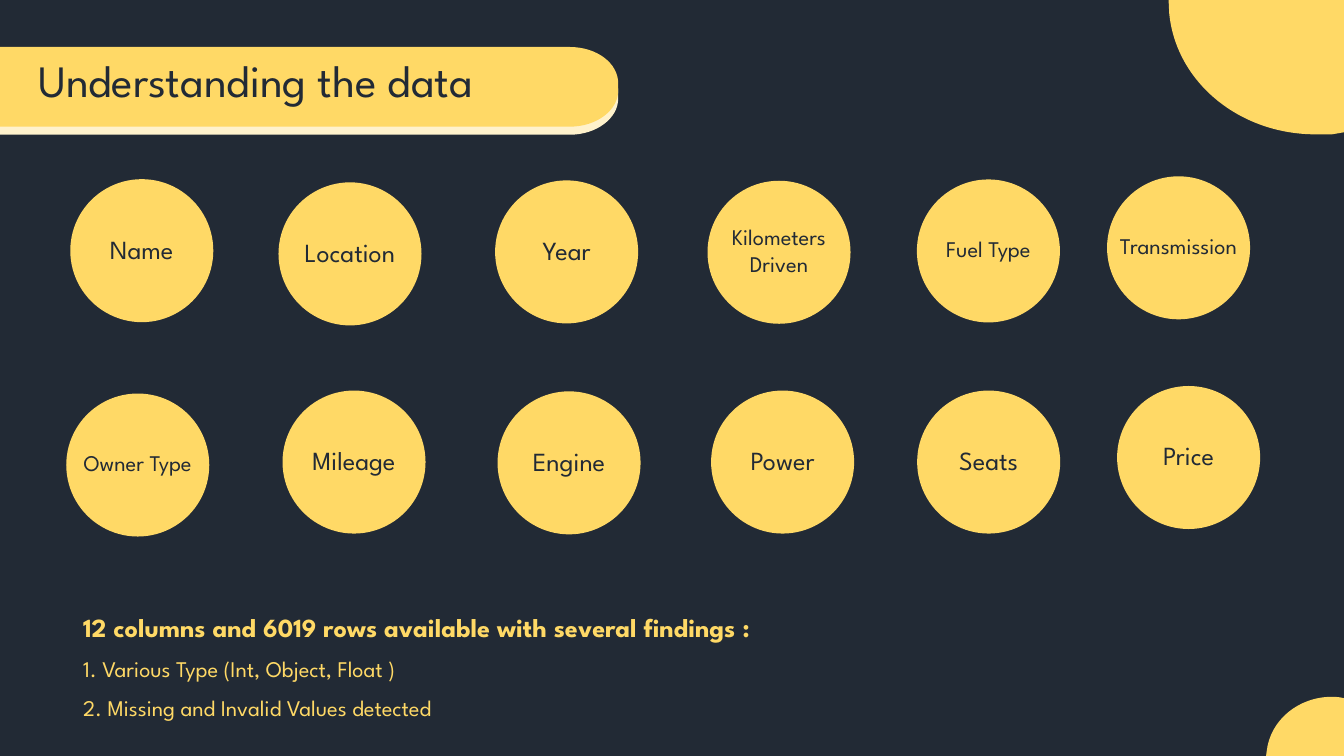
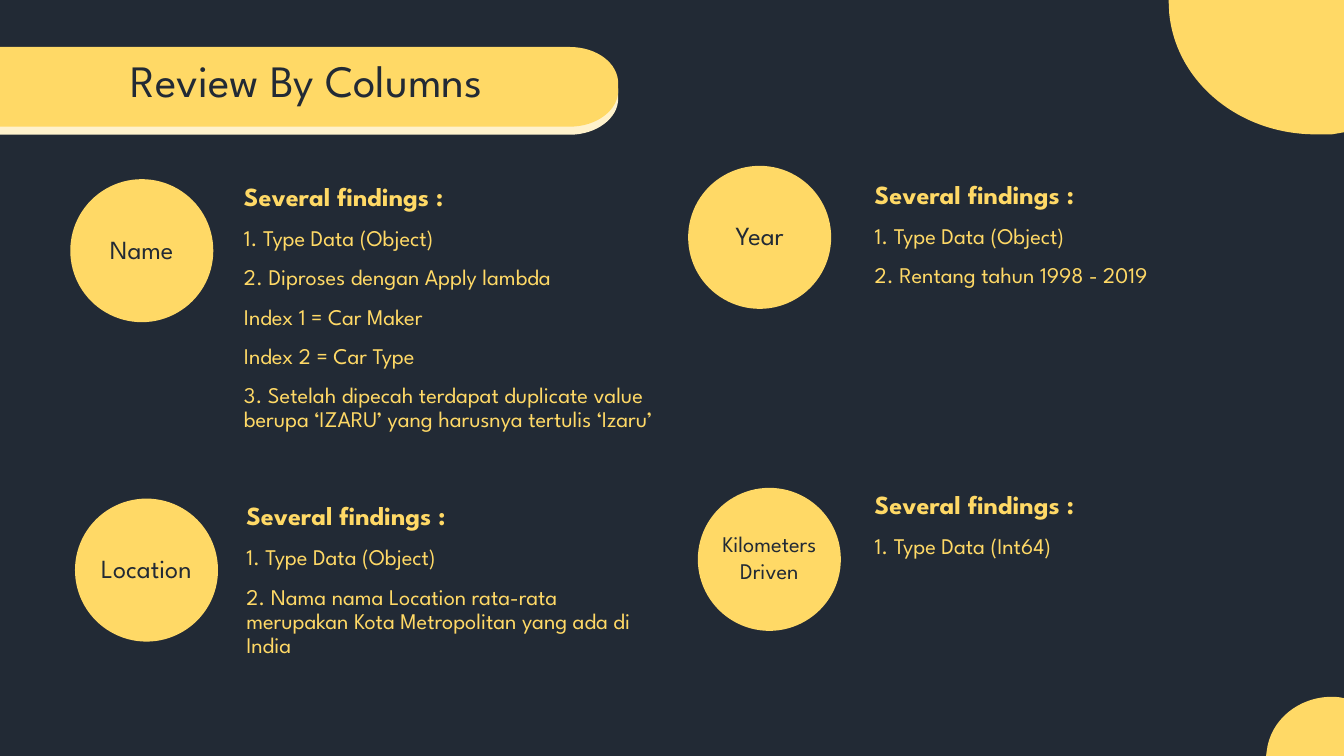
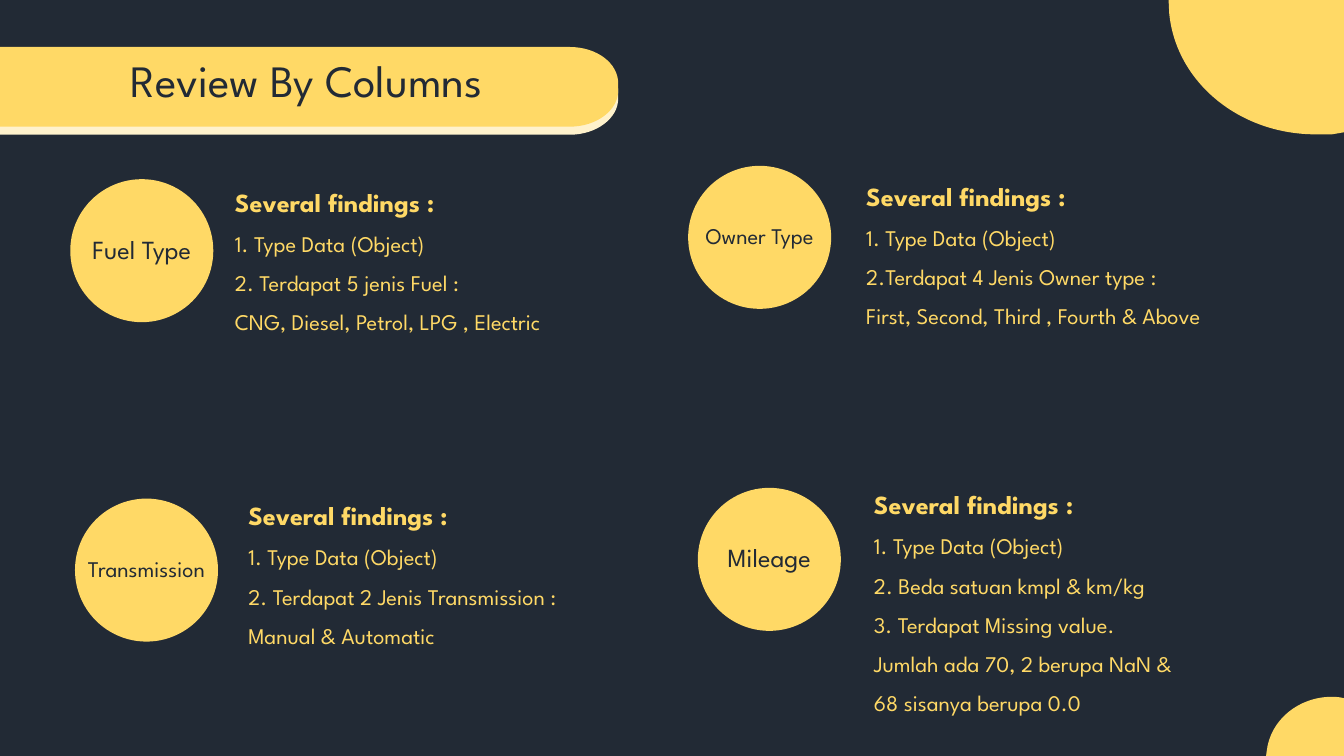
import lxml.etree
import pptx
import pptx.dml.color
import pptx.enum.shapes
import pptx.enum.text
import pptx.oxml.ns
import pptx.util

PALETTE = {"night": "222A35", "yellow": "FFD966", "cream": "FFF2CC"}
ALIGN = pptx.enum.text.PP_ALIGN
ANCHOR = pptx.enum.text.MSO_ANCHOR
PRESET = pptx.enum.shapes.MSO_SHAPE

deck = pptx.Presentation()
deck.slide_width = pptx.util.Inches(10)
deck.slide_height = pptx.util.Inches(5.625)
column = deck.slide_width / 100
row = deck.slide_height / 56.25

box_format = {
    "word_wrap": True, "vertical_anchor": ANCHOR.TOP,
    "margin_left": int(0.75 * column), "margin_right": int(0.75 * column),
    "margin_top": int(0.38 * row), "margin_bottom": int(0.38 * row),
}
label_format = {
    "word_wrap": False, "vertical_anchor": ANCHOR.MIDDLE,
    "margin_left": 0, "margin_right": 0, "margin_top": 0,
    "margin_bottom": int(0.3 * row),
}
centred = {"alignment": ALIGN.CENTER}
heading = {"alignment": ALIGN.LEFT, "line_spacing": 0.9}
finding = {**heading, "space_before": pptx.util.Pt(8)}


def draw(slide, outline, colour, place=None):
    if place:
        left, top, width, height = place
        figure = slide.shapes.add_shape(
            outline, int(left * column), int(top * row),
            int(width * column), int(height * row))
    else:
        anchors = [(step[-2] * column, step[-1] * row) for step in outline]
        builder = slide.shapes.build_freeform(*anchors[0], scale=1.0)
        builder.add_line_segments(anchors[1:], close=True)
        figure = builder.convert_to_shape()
        segments = figure.element.findall(".//" + pptx.oxml.ns.qn("a:lnTo"))
        for segment, step in zip(segments, outline[1:]):
            if len(step) == 6:
                curve = lxml.etree.Element(pptx.oxml.ns.qn("a:cubicBezTo"))
                for x, y in zip(step[::2], step[1::2]):
                    lxml.etree.SubElement(
                        curve, pptx.oxml.ns.qn("a:pt"),
                        x=str(round(x * column - figure.left)),
                        y=str(round(y * row - figure.top)))
                segment.getparent().replace(segment, curve)
    figure.shadow.inherit = False
    figure.fill.solid()
    figure.fill.fore_color.rgb = pptx.dml.color.RGBColor.from_string(PALETTE[colour])
    figure.line.fill.background()
    return figure


def write(frame, frame_format, lines, colour):
    for key, value in frame_format.items():
        setattr(frame, key, value)
    for index, (text, size, bold, paragraph_format) in enumerate(lines):
        paragraph = frame.add_paragraph() if index else frame.paragraphs[0]
        for key, value in paragraph_format.items():
            setattr(paragraph, key, value)
        run = paragraph.add_run()
        run.text = text
        font_format = {"name": "League Spartan", "size": pptx.util.Pt(size), "bold": bold}
        for key, value in font_format.items():
            setattr(run.font, key, value)
        run.font.color.rgb = pptx.dml.color.RGBColor.from_string(PALETTE[colour])


top_corner = [(86.95, 0), (100, 0), (100, 9.85), (99.1, 10),
              (98.7, 10, 98.3, 10, 97.9, 10), (92.2, 10, 87.5, 6.1, 87, 1)]
bottom_corner = [(94.2, 56.25), (100, 56.25), (100, 51.95), (99.6, 51.88),
                 (99.4, 51.85, 99.2, 51.85, 99.1, 51.85),
                 (96.6, 51.85, 94.5, 53.6, 94.25, 55.9)]

repeated = "Several findings :"
object_type = "1. Type Data (Object)"
pages = [
    {
        "title": ("Understanding the data", 2.1, ALIGN.LEFT),
        "circles": [
            ("Name", 5.23, 13.33, 14), ("Location", 20.72, 13.57, 14),
            ("Year", 36.84, 13.42, 14), ("Kilometers\nDriven", 52.64, 13.45, 12),
            ("Fuel Type", 68.22, 13.35, 12), ("Transmission", 82.37, 13.12, 12),
            ("Owner Type", 4.93, 29.28, 12), ("Mileage", 21.02, 29.06, 14),
            ("Engine", 37.02, 29.12, 14), ("Power", 52.91, 29.06, 14),
            ("Seats", 68.24, 29.06, 14), ("Price", 83.12, 28.72, 14),
        ],
        "findings": [
            (5.43, 45.35, 75.9, 10.6, [
                "12 columns and 6019 rows available with several findings :",
                "1. Various Type (Int, Object, Float )",
                "2. Missing and Invalid Values detected"]),
        ],
    },
    {
        "title": ("Review By Columns", 2.4, ALIGN.CENTER),
        "circles": [
            ("Name", 5.23, 13.33, 14), ("Location", 5.58, 37.1, 14),
            ("Year", 51.2, 12.34, 14), ("Kilometers\nDriven", 51.92, 36.3, 12),
        ],
        "findings": [
            (17.4, 13.33, 32.5, 22.5, [
                repeated, object_type, "2. Diproses dengan Apply lambda",
                "Index 1 = Car Maker", "Index 2 = Car Type",
                "3. Setelah dipecah terdapat duplicate value berupa "
                "‘IZARU’ yang harusnya tertulis ‘Izaru’"]),
            (17.57, 37.08, 32.5, 15.3, [
                repeated, object_type,
                "2. Nama nama Location rata-rata merupakan Kota Metropolitan "
                "yang ada di India"]),
            (64.33, 13.15, 32.5, 15.3, [
                repeated, object_type, "2. Rentang tahun 1998 - 2019"]),
            (64.33, 36.26, 29.9, 15.3, [repeated, "1. Type Data (Int64)"]),
        ],
    },
    {
        "title": ("Review By Columns", 2.4, ALIGN.CENTER),
        "circles": [
            ("Fuel Type", 5.23, 13.33, 14), ("Transmission", 5.58, 37.1, 12),
            ("Owner Type", 51.2, 12.34, 12), ("Mileage", 51.92, 36.3, 14),
        ],
        "findings": [
            (16.73, 13.76, 32.5, 15.3, [
                repeated, object_type, "2. Terdapat 5 jenis Fuel :",
                "CNG, Diesel, Petrol, LPG , Electric"]),
            (17.72, 37.08, 32.5, 15.3, [
                repeated, object_type, "2. Terdapat 2 Jenis Transmission :",
                "Manual & Automatic"]),
            (63.7, 13.3, 32.5, 15.3, [
                repeated, object_type, "2.Terdapat 4 Jenis Owner type :",
                "First, Second, Third , Fourth & Above"]),
            (64.27, 36.26, 32.5, 18.3, [
                repeated, object_type, "2. Beda satuan kmpl & km/kg",
                "3. Terdapat Missing value.", "Jumlah ada 70, 2 berupa NaN &",
                "68 sisanya berupa 0.0"]),
        ],
    },
]

for page in pages:
    slide = deck.slides.add_slide(deck.slide_layouts[6])
    draw(slide, PRESET.RECTANGLE, "night", (0, 0, 100, 56.25))

    for top, colour in ((4.1, "cream"), (3.5, "yellow")):
        band = [(0, top), (42.4, top), (44.4, top, 46, top + 1.2, 46, top + 2.7),
                (46, top + 3.25), (46, top + 4.7, 44.4, top + 5.93, 42.4, top + 5.93),
                (0, top + 5.93)]
        draw(slide, band, colour)
        if colour == "cream":
            draw(slide, top_corner, "yellow")
            draw(slide, bottom_corner, "yellow")

    title, left, alignment = page["title"]
    title_box = slide.shapes.add_textbox(
        int(left * column), int(4 * row), int(40.8 * column), int(5.2 * row))
    write(title_box.text_frame, box_format,
          [(title, 24, False, {**heading, "alignment": alignment})], "night")

    for label, left, top, size in page["circles"]:
        circle = draw(slide, PRESET.OVAL, "yellow", (left, top, 10.64, 10.64))
        write(circle.text_frame, label_format,
              [(line, size, False, centred) for line in label.split("\n")], "night")

    for left, top, width, height, lines in page["findings"]:
        findings_box = slide.shapes.add_textbox(
            int(left * column), int(top * row), int(width * column), int(height * row))
        write(findings_box.text_frame, box_format,
              [(lines[0], 14, True, heading)]
              + [(line, 12, False, finding) for line in lines[1:]], "yellow")

deck.save("out.pptx")
